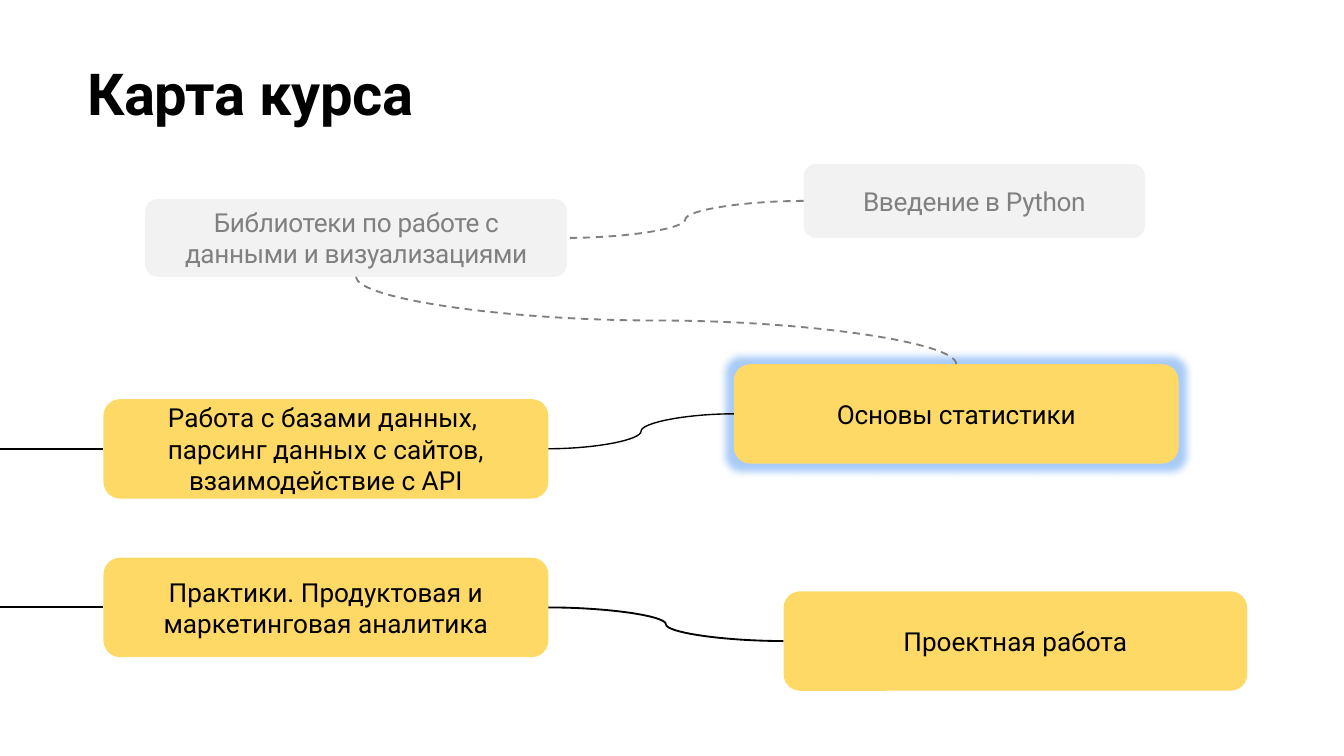
from pptx import Presentation
from pptx.dml.color import RGBColor
from pptx.enum.dml import MSO_LINE
from pptx.enum.shapes import MSO_CONNECTOR as CONNECTOR, MSO_SHAPE as SHAPE
from pptx.enum.text import MSO_ANCHOR as ANCHOR, PP_ALIGN as ALIGN
from pptx.oxml import parse_xml
from pptx.oxml.ns import nsdecls
from pptx.util import Inches, Pt

BLACK, GREY, PALE, YELLOW, GLOW = "000000", "808080", "F2F2F2", "FFD966", "3F8CF0"
TOP, LEFT, BOTTOM, RIGHT = range(4)

DONE = {"fill": PALE, "color": GREY, "spacing": -20}
AHEAD = {"fill": YELLOW, "color": BLACK, "spacing": 0}
CURRENT = {"fill": YELLOW, "color": BLACK, "spacing": -10}

TOPICS = {
    "python": ("Введение в Python", (5.98, 1.22, 2.54, 0.55), DONE),
    "libraries": ("Библиотеки по работе с данными и визуализациями", (1.08, 1.48, 3.14, 0.58), DONE),
    "databases": ("Работа с базами данных, \vпарсинг данных с сайтов, взаимодействие с API",
                  (0.77, 2.97, 3.31, 0.74), AHEAD),
    "practice": ("Практики. Продуктовая и маркетинговая аналитика", (0.77, 4.15, 3.31, 0.74), AHEAD),
    "project": ("Проектная работа", (5.83, 4.4, 3.45, 0.74), AHEAD),
    "statistics": ("Основы статистики", (5.46, 2.71, 3.31, 0.74), CURRENT),
}

CURVES = [
    ("python", LEFT, "libraries", RIGHT, GREY, 1, MSO_LINE.DASH),
    ("statistics", TOP, "libraries", BOTTOM, GREY, 1, MSO_LINE.DASH),
    ("databases", RIGHT, "statistics", LEFT, BLACK, 0.75, None),
    ("project", LEFT, "practice", RIGHT, BLACK, 1, None),
]


def rgb(value):
    """Turn a hex string into a colour."""
    return RGBColor.from_string(value)


def write_text(paragraph, text, size, color, spacing, bold=False):
    """Write one formatted text, with line breaks at vertical tabs."""
    paragraph.text = text
    formats = {"name": "Roboto", "size": Pt(size), "bold": bold}
    for run in paragraph.runs:
        for name, value in formats.items():
            setattr(run.font, name, value)
        run.font.color.rgb = rgb(color)
        run.font._element.set("spc", str(spacing))


def set_frame(frame, **formats):
    """Set the attributes of a text frame."""
    for name, value in formats.items():
        setattr(frame, name, value)


def add_title(slide, box, text):
    """Place the slide title in its box."""
    shape = slide.shapes.add_textbox(*map(Inches, box))
    set_frame(shape.text_frame, word_wrap=True, margin_left=Inches(0.02), margin_right=0,
              margin_top=Inches(0.01), margin_bottom=0)
    write_text(shape.text_frame.paragraphs[0], text, 31, BLACK, -20, bold=True)


def add_topic(slide, text, box, style):
    """Place one rounded course topic in its box."""
    shape = slide.shapes.add_shape(SHAPE.ROUNDED_RECTANGLE, *map(Inches, box))
    shape.shadow.inherit = False
    shape.fill.solid()
    shape.fill.fore_color.rgb = rgb(style["fill"])
    shape.line.fill.background()
    set_frame(shape.text_frame, word_wrap=True, vertical_anchor=ANCHOR.MIDDLE)
    paragraph = shape.text_frame.paragraphs[0]
    paragraph.alignment = ALIGN.CENTER
    write_text(paragraph, text, 14, style["color"], style["spacing"])
    return shape


def add_glow(shape, color, radius, opacity):
    """Surround a shape with a soft glow."""
    effects = shape._element.spPr.find(".//{*}effectLst")
    effects.append(parse_xml(
        f'<a:glow {nsdecls("a")} rad="{Pt(radius)}"><a:srgbClr val="{color}">'
        f'<a:alpha val="{opacity * 1000}"/></a:srgbClr></a:glow>'))


def side_point(shape, side):
    """Return the middle of one side of a shape."""
    middle_x, middle_y = shape.left + shape.width // 2, shape.top + shape.height // 2
    return {TOP: (middle_x, shape.top), LEFT: (shape.left, middle_y),
            BOTTOM: (middle_x, shape.top + shape.height),
            RIGHT: (shape.left + shape.width, middle_y)}[side]


def add_link(slide, kind, begin, end, color, width, dash=None):
    """Draw a plain connector between two points."""
    connector = slide.shapes.add_connector(kind, *begin, *end)
    formats = {"width": Pt(width), "dash_style": dash}
    for name, value in formats.items():
        setattr(connector.line, name, value)
    connector.line.color.rgb = rgb(color)
    connector._element.spPr.append(parse_xml(f'<a:effectLst {nsdecls("a")}/>'))
    return connector


def add_curve(slide, begin, end, upright, *style):
    """Draw a curve, turned a quarter when it leaves a top or bottom side."""
    if upright:
        middle_x, middle_y = (begin[0] + end[0]) // 2, (begin[1] + end[1]) // 2
        half_x, half_y = (begin[0] - end[0]) // 2, (begin[1] - end[1]) // 2
        begin = middle_x - half_y, middle_y + half_x
        end = middle_x + half_y, middle_y - half_x
    connector = add_link(slide, CONNECTOR.CURVE, begin, end, *style)
    if upright:
        connector._element.spPr.find("{*}xfrm").set("rot", str(270 * 60000))


def add_course_map(slide):
    """Place the topics and the links between them."""
    shapes = {name: add_topic(slide, *topic) for name, topic in TOPICS.items()}
    add_glow(shapes["statistics"], GLOW, 8, 45)
    for first, first_side, second, second_side, *style in CURVES:
        add_curve(slide, side_point(shapes[first], first_side),
                  side_point(shapes[second], second_side), first_side in (TOP, BOTTOM), *style)
    for name in ("databases", "practice"):
        end = side_point(shapes[name], LEFT)
        connector = add_link(slide, CONNECTOR.STRAIGHT, (0, end[1]), end, BLACK, 1)
        connector.end_connect(shapes[name], LEFT)


def main():
    """Build and save the presentation."""
    presentation = Presentation()
    presentation.slide_width = Inches(10)
    presentation.slide_height = presentation.slide_width * 9 // 16
    slide = presentation.slides.add_slide(presentation.slide_layouts[6])
    add_title(slide, (0.63, 0.42, 6.81, 0.54), "Карта курса")
    add_course_map(slide)
    presentation.save("out.pptx")


if __name__ == "__main__":
    main()
